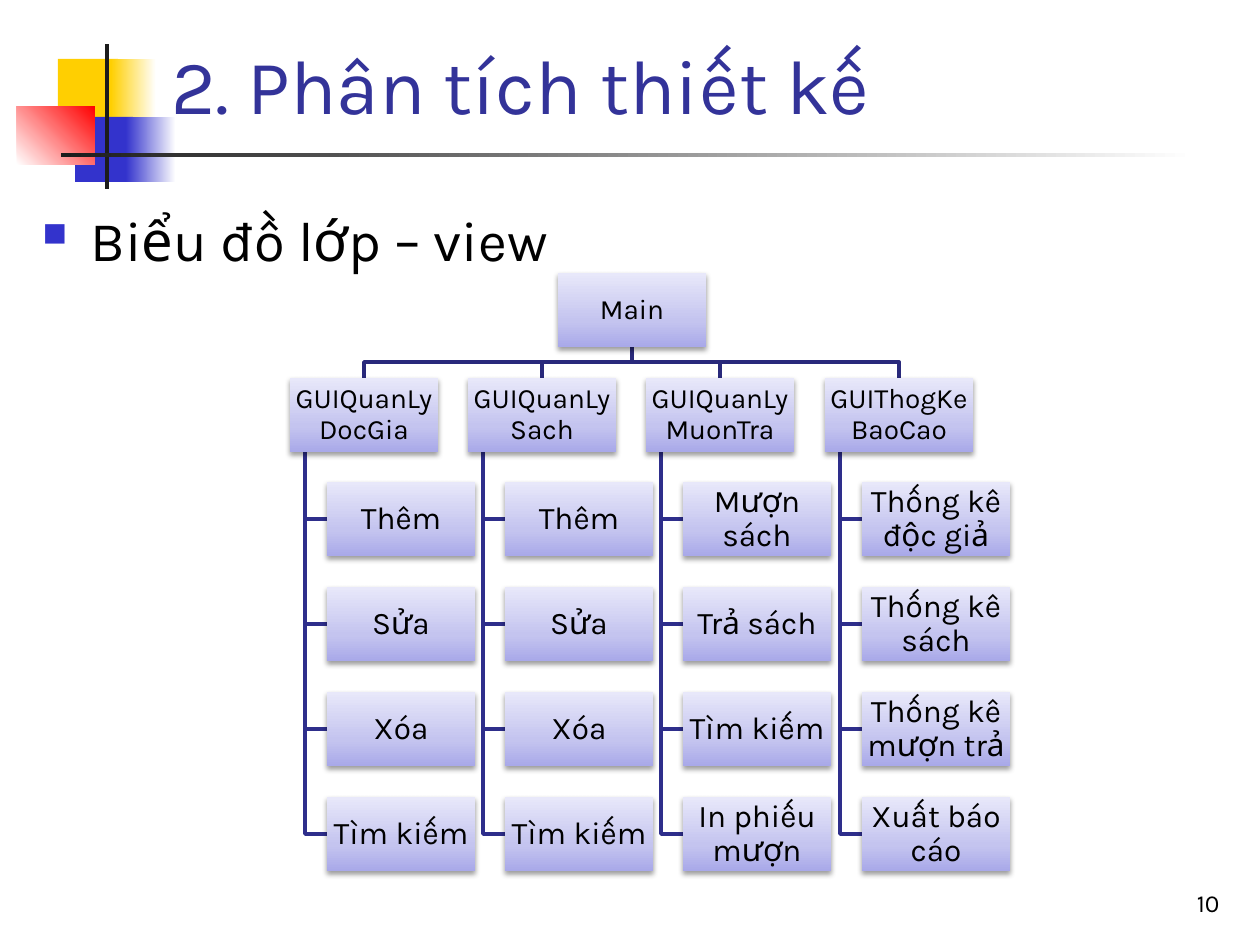
from dataclasses import dataclass

from lxml.etree import SubElement
from pptx import Presentation
from pptx.dml.color import RGBColor
from pptx.enum.shapes import MSO_SHAPE
from pptx.enum.text import MSO_ANCHOR, PP_ALIGN
from pptx.oxml.ns import qn
from pptx.util import Emu, Pt

SCALE = 914400 / 126  # EMU in one px


@dataclass(frozen=True)
class Theme:
    font: str = "Karla"
    title: str = "333399"
    ink: str = "000000"
    dark: str = "1C1C1C"
    white: str = "FFFFFF"
    yellow: str = "FFCF01"
    blue: str = "3333CC"
    red: str = "FF0000"
    trunk: str = "29297B"
    branch: str = "2E2E8B"
    box: tuple = ((0, "A9A9E9"), (35, "C4C4EF"), (100, "E8E8FA"))
    title_size: int = 44
    body_size: int = 32
    leaf_size: int = 18
    head_size: int = 16
    page_size: int = 14


THEME = Theme()
BOX_W, BOX_H = 148, 74
ROOT_X, ROOT_Y = 558, 273
HEAD_X, LAST_X = 290, 825
HEAD_Y, LAST_Y = 378, 797
STEM, INDENT = 15, 37
COLUMNS = [
    ("GUIQuanLyDocGia", ["Thêm", "Sửa", "Xóa", "Tìm kiếm"]),
    ("GUIQuanLySach", ["Thêm", "Sửa", "Xóa", "Tìm kiếm"]),
    ("GUIQuanLyMuonTra", ["Mượn sách", "Trả sách", "Tìm kiếm", "In phiếu mượn"]),
    ("GUIThogKeBaoCao", ["Thống kê độc giả", "Thống kê sách",
                         "Thống kê mượn trả", "Xuất báo cáo"]),
]


def px(value):
    return Emu(round(value * SCALE))


def spread(first, last, count):
    """Evenly spaced positions from first to last, both included."""
    return [first + (last - first) * i // (count - 1) for i in range(count)]


def set_fade(shape, stops, angle):
    """Gradient fill; the angle runs clockwise from left-to-right."""
    shape.fill.gradient()
    grad = shape._element.spPr.find(qn("a:gradFill"))
    for child in list(grad):
        grad.remove(child)
    items = SubElement(grad, qn("a:gsLst"))
    for place, color in stops:
        stop = SubElement(items, qn("a:gs"), pos=str(place * 1000))
        SubElement(stop, qn("a:srgbClr"), val=color)
    SubElement(grad, qn("a:lin"), ang=str(angle * 60000), scaled="0")


def add_rect(slide, x, y, w, h, fill, angle=0):
    """Rectangle filled with one colour or with a tuple of gradient stops."""
    shape = slide.shapes.add_shape(MSO_SHAPE.RECTANGLE, px(x), px(y), px(w), px(h))
    shape.shadow.inherit = False
    shape.line.fill.background()
    if isinstance(fill, str):
        shape.fill.solid()
        shape.fill.fore_color.rgb = RGBColor.from_string(fill)
    else:
        set_fade(shape, fill, angle)
    return shape


def add_shadow(shape):
    effects = shape._element.spPr.find(qn("a:effectLst"))
    shadow = SubElement(effects, qn("a:outerShdw"), blurRad=str(Pt(3.1)),
                        dist=str(Pt(1.6)), dir="5400000", rotWithShape="0")
    color = SubElement(shadow, qn("a:srgbClr"), val=THEME.ink)
    SubElement(color, qn("a:alpha"), val="38000")


def write(para, text, size, color=THEME.ink):
    run = para.add_run()
    run.text = text
    run.font.name = THEME.font
    run.font.size = Pt(size)
    run.font.color.rgb = RGBColor.from_string(color)


def add_text(slide, x, y, w, h, text, size, color=THEME.ink,
             anchor=MSO_ANCHOR.BOTTOM, align=PP_ALIGN.LEFT):
    frame = slide.shapes.add_textbox(px(x), px(y), px(w), px(h)).text_frame
    frame.word_wrap = True
    frame.vertical_anchor = anchor
    para = frame.paragraphs[0]
    para.alignment = align
    write(para, text, size, color)
    return para


def add_bullet(para):
    props = para._p.get_or_add_pPr()
    props.set("marL", str(px(48)))
    props.set("indent", str(px(-48)))
    color = SubElement(props, qn("a:buClr"))
    SubElement(color, qn("a:srgbClr"), val=THEME.blue)
    SubElement(props, qn("a:buSzPct"), val="60000")
    SubElement(props, qn("a:buChar"), char="■")


def add_box(slide, x, y, text, size):
    box = add_rect(slide, x, y, BOX_W, BOX_H, THEME.box, 270)
    add_shadow(box)
    frame = box.text_frame
    frame.word_wrap = True
    frame.vertical_anchor = MSO_ANCHOR.MIDDLE
    frame.margin_left = frame.margin_right = px(1)
    frame.margin_top = frame.margin_bottom = px(1)
    para = frame.paragraphs[0]
    para.alignment = PP_ALIGN.CENTER
    para.line_spacing = 0.9
    write(para, text, size)


def add_link(slide, points, color):
    pen = slide.shapes.build_freeform(*points[0], scale=SCALE)
    pen.add_line_segments(points[1:], close=False)
    link = pen.convert_to_shape()
    link.shadow.inherit = False
    link.fill.background()
    link.line.color.rgb = RGBColor.from_string(color)
    link.line.width = Pt(2)


def draw_decor(slide):
    def fade(start, end=THEME.white):
        return (0, start), (100, end)

    add_rect(slide, 58, 59, 60, 65, THEME.yellow)
    add_rect(slide, 111, 59, 45, 65, fade(THEME.yellow))
    add_rect(slide, 75, 117, 58, 65, THEME.blue)
    add_rect(slide, 126, 117, 50, 65, fade(THEME.blue))
    add_rect(slide, 17, 106, 78, 59, fade(THEME.white, THEME.red), 315)
    add_rect(slide, 105, 44, 4, 145, THEME.dark)
    add_rect(slide, 61, 153, 1134, 4, fade(THEME.dark))


def draw_tree(slide):
    lefts = spread(HEAD_X, LAST_X, len(COLUMNS))
    tops = spread(HEAD_Y, LAST_Y, 5)
    half = BOX_W // 2
    base = ROOT_Y + BOX_H
    bend = (base + HEAD_Y) // 2
    root = ROOT_X + half

    for left in lefts:
        stem = left + STEM
        for top in tops[1:]:
            mid = top + BOX_H // 2
            add_link(slide, [(stem, HEAD_Y + BOX_H), (stem, mid),
                             (left + INDENT, mid)], THEME.branch)
        add_link(slide, [(root, base), (root, bend), (left + half, bend),
                         (left + half, HEAD_Y)], THEME.trunk)

    add_box(slide, ROOT_X, ROOT_Y, "Main", THEME.head_size)
    for left, (head, leaves) in zip(lefts, COLUMNS):
        add_box(slide, left, HEAD_Y, head, THEME.head_size)
        for top, leaf in zip(tops[1:], leaves):
            add_box(slide, left + INDENT, top, leaf, THEME.leaf_size)


def main():
    deck = Presentation()
    deck.slide_width, deck.slide_height = px(1260), px(945)
    slide = deck.slides.add_slide(deck.slide_layouts[6])
    draw_decor(slide)
    add_text(slide, 159, 29, 1074, 107, "2. Phân tích thiết kế",
             THEME.title_size, THEME.title)
    body = add_text(slide, 30, 199, 1202, 645, "Biểu đồ lớp – view",
                    THEME.body_size, anchor=MSO_ANCHOR.TOP)
    add_bullet(body)
    add_text(slide, 970, 861, 262, 63, "10", THEME.page_size,
             align=PP_ALIGN.RIGHT)
    draw_tree(slide)
    deck.save("out.pptx")


if __name__ == "__main__":
    main()
